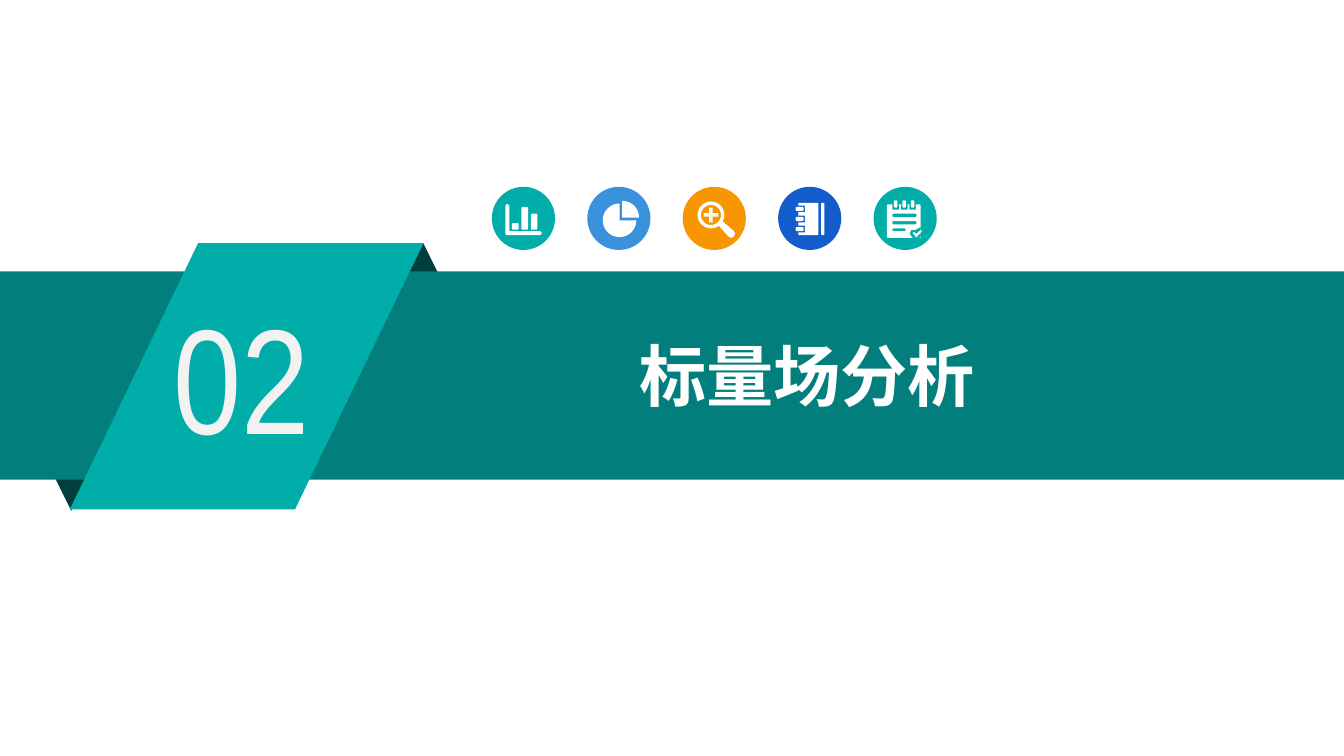
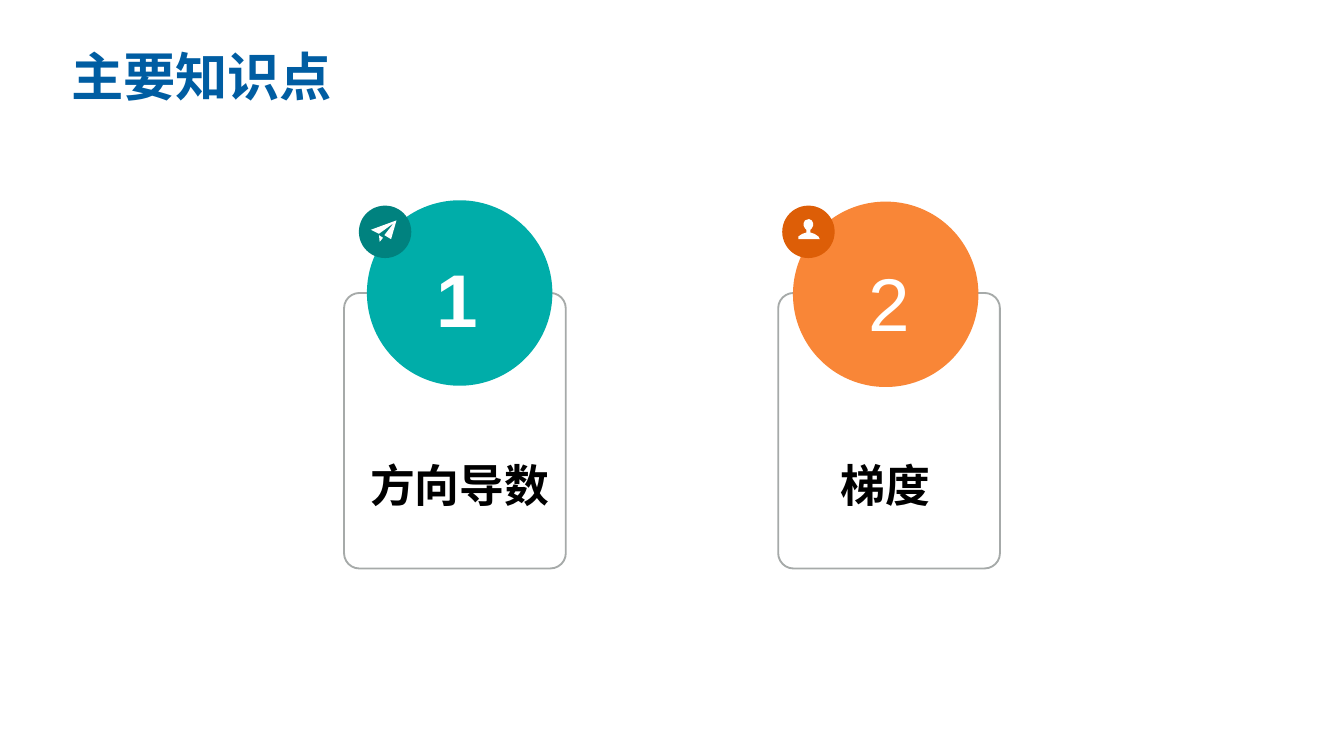
from math import cos, radians, sin

from lxml import etree
from pptx import Presentation
from pptx.dml.color import RGBColor
from pptx.enum.shapes import MSO_SHAPE as Shape
from pptx.enum.text import MSO_ANCHOR as Anchor, MSO_AUTO_SIZE as AutoSize, PP_ALIGN as Align
from pptx.oxml.ns import qn
from pptx.util import Inches, Pt

WIDTH = 10
HEIGHT = WIDTH * 9 / 16
COLORS = {
    "white": "FFFFFF", "number": "F2F2F2", "black": "000000", "title": "005DA2",
    "band": "027F7D", "fold": "013F3F", "teal": "00ADA9", "dark_teal": "00827F",
    "sky": "3992DB", "amber": "F79600", "blue": "125CCB",
    "orange": "F98637", "dark_orange": "DD5E07", "border": "A6AAA9",
}
HEADING_FONT, LABEL_FONT = "Noto Sans CJK SC", "Noto Sans CJK JP"
NARROW_INSETS = (0.07, 0.04, 0.07, 0.04)

# Content
SECTION = {"number": "02", "title": "标量场分析"}
TOPICS_TITLE = "主要知识点"
TOPICS = [
    {"label": "方向导数", "number": "1", "bold": True, "color": "teal",
     "badge_color": "dark_teal", "icon": "plane", "card_left": 2.56,
     "disc": (2.73, 1.49), "badge_left": 2.67,
     "number_box": (2.87, 1.87, 1.07, 0.55), "label_box": (2.58, 3.1, 1.68, 0.93)},
    {"label": "梯度", "number": "2", "bold": False, "color": "orange",
     "badge_color": "dark_orange", "icon": "person", "card_left": 5.79,
     "disc": (5.9, 1.5), "badge_left": 5.82,
     "number_box": (6.18, 2.02, 0.88, 0.31), "label_box": (5.84, 3.1, 1.49, 0.93)},
]
ICON_ROW = [("chart", "teal"), ("pie", "sky"), ("magnifier", "amber"),
            ("notebook", "blue"), ("notepad", "teal")]


# Outlines, in hundredths of an inch from the corner of the icon's disc
def arc(x, y, radius, start, end, steps=24):
    angles = [radians(start + (end - start) * i / steps) for i in range(steps + 1)]
    return [(x + radius * cos(a), y + radius * sin(a)) for a in angles]


def rounded(x, y, width, height, radius=1.0):
    right, bottom = x + width - radius, y + height - radius
    corners = [(right, bottom), (x + radius, bottom), (x + radius, y + radius), (right, y + radius)]
    return [point for i, (cx, cy) in enumerate(corners)
            for point in arc(cx, cy, radius, 90 * i, 90 * i + 90, 6)]


def plus(x, y, length, half):
    return [(x - half, y - length), (x + half, y - length), (x + half, y - half),
            (x + length, y - half), (x + length, y + half), (x + half, y + half),
            (x + half, y + length), (x - half, y + length), (x - half, y + half),
            (x - length, y + half), (x - length, y - half), (x - half, y - half)]


RINGS = [14, 21.5, 29]
PINS = [14, 20.3, 26.6]
ICONS = {
    "chart": [
        [(10, 14), (11, 13), (12, 13), (13, 14), (13, 33), (36, 33), (37, 34),
         (37, 35), (36, 36), (11, 36), (10, 35)],
        rounded(15, 27, 5, 5), rounded(22, 15, 5, 17), rounded(29, 20, 5, 12)],
    "pie": [
        [(26, 23)] + arc(26, 23, 12.5, -90, 0),
        [(24, 25)] + arc(24, 25, 12.5, 0, 270)],
    "magnifier": [
        arc(21, 21, 10, 0, 360), arc(21, 21, 7.5, 0, 360), plus(21, 21, 5.5, 1.3),
        [(27, 29.2), (34, 37), (36, 38), (38, 37), (39, 35), (38, 33), (30, 26)]],
    "notebook": [
        rounded(15, 12, 15, 24, 0), rounded(32, 12, 2.5, 24),
        *[rounded(15, y, 5, 5, 0) for y in RINGS],
        *[rounded(13, y + 1, 6, 3) for y in RINGS]],
    "notepad": [
        rounded(10, 13, 25, 25), rounded(14, 20, 18, 2.5),
        rounded(14, 25.5, 18, 2.5), rounded(14, 31, 10, 2),
        *[rounded(x, 13, 5, 4, 0) for x in PINS],
        *[rounded(x + 1.2, 10, 2.6, 5.5) for x in PINS],
        [(27, 35), (28, 32), (31, 32), (35, 30), (35, 38), (29, 38)],
        [(29, 34.5), (30, 33.5), (32, 35), (35, 32), (36, 33), (32, 37.5)]],
    "plane": [
        [(28, 11), (9, 18), (13, 20), (15, 21), (26, 13), (19, 22), (24, 25)],
        [(15, 22), (18, 24), (15.5, 27)]],
    "person": [
        [(16, 13), (17, 11), (20, 10), (22, 11), (23, 13), (23, 15), (22, 17), (21, 18),
         (21, 20), (24, 21), (27, 23), (28, 25), (12, 25), (12, 23), (15, 21), (18, 20),
         (18, 18), (17, 17), (16, 15)]],
}


def rgb(name):
    return RGBColor.from_string(COLORS[name])


def paint(shape, fill=None, line=None):
    shape.shadow.inherit = False
    if fill:
        shape.fill.solid()
        shape.fill.fore_color.rgb = rgb(fill)
    else:
        shape.fill.background()
    if line:
        shape.line.color.rgb = rgb(line)
        shape.line.width = Pt(1)
    else:
        shape.line.fill.background()
    return shape


def add_shape(slide, kind, box, fill=None, line=None, adjust=None, rotation=0):
    shape = paint(slide.shapes.add_shape(kind, *map(Inches, box)), fill, line)
    if adjust is not None:
        shape.adjustments[0] = adjust
    shape.rotation = rotation
    return shape


def add_icon(slide, icon, left, top, size, color):
    add_shape(slide, Shape.OVAL, (left, top, size, size), color)
    contours = [[(Inches(left + x / 100), Inches(top + y / 100)) for x, y in contour]
                for contour in ICONS[icon]]
    builder = slide.shapes.build_freeform(*contours[0][0])
    for i, contour in enumerate(contours):
        if i:
            builder.move_to(*contour[0])
        builder.add_line_segments(contour[1:], close=True)
    paint(builder.convert_to_shape(), "white")


def write(shape, text, size, font, color, bold=False, align=Align.LEFT,
          anchor=Anchor.MIDDLE, insets=NARROW_INSETS, spacing=1.0):
    frame = shape.text_frame
    frame.text = text
    frame_format = {"word_wrap": True, "auto_size": AutoSize.NONE, "vertical_anchor": anchor}
    sides = ("margin_left", "margin_top", "margin_right", "margin_bottom")
    frame_format.update(zip(sides, map(Inches, insets)))
    paragraph = frame.paragraphs[0]
    run = paragraph.runs[0]
    for target, values in (
            (frame, frame_format),
            (paragraph, {"alignment": align, "line_spacing": spacing, "space_before": Pt(0)}),
            (run.font, {"size": Pt(size), "name": font, "bold": bold})):
        for name, value in values.items():
            setattr(target, name, value)
    run.font.color.rgb = rgb(color)
    latin = run.font._element.find(qn("a:latin"))
    east_asian = etree.Element(qn("a:ea"), typeface=font)
    latin.addnext(east_asian)


def add_text(slide, box, text, *args, **options):
    write(slide.shapes.add_textbox(*map(Inches, box)), text, *args, **options)


def set_title(slide, box, text, size, color, **options):
    title = slide.shapes.title
    title.left, title.top, title.width, title.height = map(Inches, box)
    write(title, text, size, HEADING_FONT, color, bold=True, **options)
    title._element.getparent().append(title._element)


def build_section(slide):
    # Ribbon: folds behind the band, number plate in front
    add_shape(slide, Shape.ISOSCELES_TRIANGLE, (2.7, 1.81, 0.9, 0.91), "fold")
    add_shape(slide, Shape.ISOSCELES_TRIANGLE, (0.08, 2.89, 0.9, 0.91), "fold", rotation=180)
    add_shape(slide, Shape.RECTANGLE, (0, 2.02, WIDTH, 1.55), "band")
    add_shape(slide, Shape.PARALLELOGRAM, (0.52, 1.81, 2.63, 1.98), "teal", adjust=0.482)
    add_text(slide, (1.22, 2.08, 1.45, 1.42), SECTION["number"], 80, "Arial Narrow",
             "number", anchor=Anchor.TOP)
    set_title(slide, (2.99, 2.45, 6.03, 0.68), SECTION["title"], 36, "white",
              align=Align.CENTER, anchor=Anchor.TOP, insets=(0.08, 0.04, 0.08, 0.04))
    # Icon row
    for i, (icon, color) in enumerate(ICON_ROW):
        add_icon(slide, icon, 3.66 + 0.71 * i, 1.39, 0.47, color)


def build_topics(slide):
    set_title(slide, (0.43, 0.29, 5.38, 0.54), TOPICS_TITLE, 28, "title",
              insets=(0.1, 0.05, 0.1, 0.05))
    # Topic cards
    centered = {"align": Align.CENTER, "spacing": 1.2}
    for topic in TOPICS:
        add_shape(slide, Shape.ROUNDED_RECTANGLE, (topic["card_left"], 2.18, 1.65, 2.05),
                  line="border", adjust=0.069)
        add_shape(slide, Shape.OVAL, (*topic["disc"], 1.38, 1.38), topic["color"])
        add_icon(slide, topic["icon"], topic["badge_left"], 1.53, 0.39, topic["badge_color"])
        add_text(slide, topic["number_box"], topic["number"], 40, "Arial", "white",
                 bold=topic["bold"], **centered)
        add_text(slide, topic["label_box"], topic["label"], 24, LABEL_FONT, "black",
                 bold=True, **centered)


def main():
    presentation = Presentation()
    presentation.slide_width, presentation.slide_height = Inches(WIDTH), Inches(HEIGHT)
    title_only = presentation.slide_layouts[5]
    for build in (build_section, build_topics):
        build(presentation.slides.add_slide(title_only))
    presentation.save("out.pptx")


if __name__ == "__main__":
    main()
